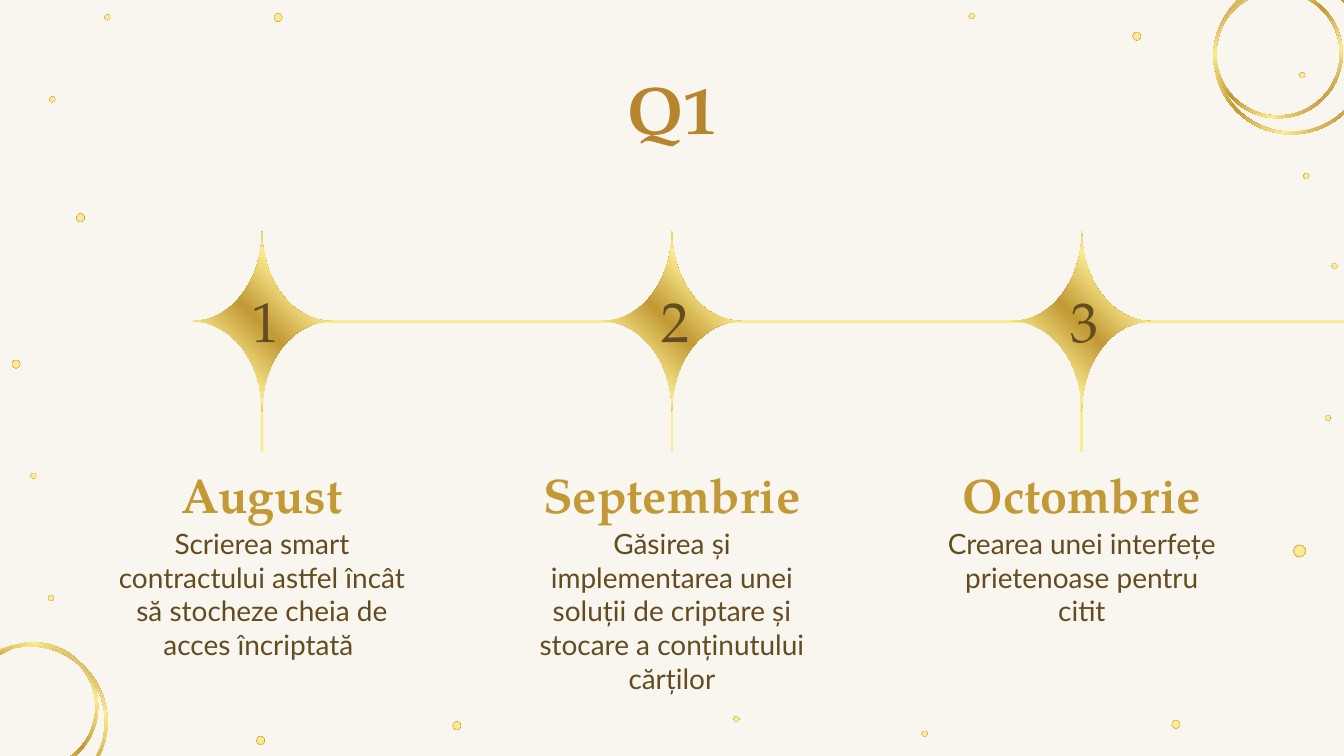
from lxml import etree
from pptx import Presentation
from pptx.dml.color import RGBColor
from pptx.enum.shapes import MSO_CONNECTOR, MSO_SHAPE
from pptx.enum.text import MSO_ANCHOR, PP_ALIGN
from pptx.oxml import parse_xml
from pptx.oxml.ns import nsdecls, qn
from pptx.util import Inches, Pt

STRAIGHT = MSO_CONNECTOR.STRAIGHT
OVAL, DONUT = MSO_SHAPE.OVAL, MSO_SHAPE.DONUT
TOP, MIDDLE = MSO_ANCHOR.TOP, MSO_ANCHOR.MIDDLE
CENTER = PP_ALIGN.CENTER

COLORS = {
    "cream": "F9F5EF",
    "title": "B6852D",
    "gold": "C29934",
    "brown": "644C21",
    "light": "FCEB8F",
    "tan": "C99F4A",
    "dark": "B88532",
}
SERIF, SANS = "TeX Gyre Pagella", "Lato"

TITLE = "Q1"
MILESTONES = [
    ("August", "Scrierea smart contractului astfel încât să stocheze cheia de acces încriptată "),
    ("Septembrie", "Găsirea și implementarea unei soluții de criptare și stocare a conținutului cărților"),
    ("Octombrie", "Crearea unei interfețe prietenoase pentru citit"),
]

STYLES = {
    "title": {"size": Pt(36), "name": SERIF, "bold": True, "color": "title"},
    "month": {"size": Pt(26), "name": SERIF, "bold": True, "color": "gold"},
    "task": {"size": Pt(15), "name": SANS, "bold": False, "color": "brown"},
    "number": {"size": Pt(30), "name": SERIF, "bold": False, "color": "brown"},
}

DOT_STOPS = [(0, "light"), (21, "light"), (52, "light"), (79, "tan"), (100, "gold")]
RING_STOPS = [(0, "dark"), (9, "tan"), (25, "light"), (49, "gold"),
              (72, "light"), (86, "tan"), (100, "dark")]
STAR_STOPS = [(0, "dark"), (9, "gold")] + RING_STOPS[2:]
RADIAL = ('<a:path path="circle"><a:fillToRect l="50000" t="50000" '
          'r="50000" b="50000"/></a:path>')

DOTS = {
    0.09: [(9.67, 4.1)],
    0.06: [(0.12, 2.71), (2.07, 0.13), (0.6, 1.62), (1.94, 5.51), (3.4, 5.4),
           (8.75, 5.39), (8.46, 0.27)],
    0.04: [(0.39, 0.74), (9.72, 1.31), (0.25, 3.54), (0.38, 4.45), (0.8, 0.13),
           (5.48, 5.35), (7.23, 0.12), (9.69, 0.56), (9.93, 1.98), (9.88, 3.11),
           (6.88, 5.46)],
}
RINGS = [
    (9.61, 0.42, 0.58, 0),
    (9.51, 0.4, 0.48, 0),
    (0.22, 5.37, 0.58, 87.3),
    (0.25, 5.26, 0.48, 87.3),
]
RING_WIDTH = 0.02

SLIDE_WIDTH = Inches(10)
SLIDE_HEIGHT = SLIDE_WIDTH * 9 // 16
FIRST_X, STEP_X = 1.95, 3.05
LINE_Y, MONTH_Y, TASK_Y = 2.39, 3.36, 3.82
COLUMN_WIDTH = 2.33
STAR_HALF_WIDTH, STAR_HALF_HEIGHT = 0.52, 0.67
CURVE_STEPS = 16


def paint_gradient(shape, stops, direction):
    shape.fill.background()
    marks = "".join(
        f'<a:gs pos="{place * 1000}"><a:srgbClr val="{COLORS[color]}"/></a:gs>'
        for place, color in stops)
    gradient = parse_xml(f'<a:gradFill {nsdecls("a")}><a:gsLst>{marks}</a:gsLst>'
                         f'{direction}</a:gradFill>')
    properties = shape._element.spPr
    properties.replace(properties.find(qn("a:noFill")), gradient)
    shape.line.fill.background()
    shape.shadow.inherit = False


def linear(degrees):
    return f'<a:lin ang="{degrees * 60000}" scaled="0"/>'


def add_round(slide, kind, x, y, radius):
    return slide.shapes.add_shape(kind, Inches(x - radius), Inches(y - radius),
                                  Inches(2 * radius), Inches(2 * radius))


def add_line(slide, x1, y1, x2, y2):
    line = slide.shapes.add_connector(STRAIGHT, Inches(x1), Inches(y1), Inches(x2), Inches(y2))
    line.line.color.rgb = RGBColor.from_string(COLORS["light"])
    line.line.width = Pt(1.5)
    etree.SubElement(line._element.spPr, qn("a:effectLst"))
    return line


def add_star(slide, x, y):
    quarter = []
    for step in range(CURVE_STEPS):
        t = step / CURVE_STEPS
        s = 1 - t
        across = 3 * s * t * t * 0.44 + t ** 3
        up = s ** 3 + 3 * s * s * t * 0.45
        quarter.append((across, up))
    back = [(1, 0)] + quarter[:0:-1]
    outline = (quarter + [(a, -u) for a, u in back]
               + [(-a, -u) for a, u in quarter] + [(-a, u) for a, u in back])
    points = [(Inches(x + a * STAR_HALF_WIDTH), Inches(y - u * STAR_HALF_HEIGHT))
              for a, u in outline]
    builder = slide.shapes.build_freeform(*points[0], scale=1.0)
    builder.add_line_segments(points[1:], close=True)
    paint_gradient(builder.convert_to_shape(), STAR_STOPS, linear(315))


def write(box, text, style, anchor=TOP):
    frame = box.text_frame
    margins = dict.fromkeys(
        ("margin_left", "margin_right", "margin_top", "margin_bottom"), Inches(0.1))
    for name, value in {**margins, "word_wrap": True, "vertical_anchor": anchor}.items():
        setattr(frame, name, value)
    para = frame.paragraphs[0]
    para.alignment = CENTER
    span = para.add_run()
    span.text = text
    for name, value in STYLES[style].items():
        if name == "color":
            span.font.color.rgb = RGBColor.from_string(COLORS[value])
        else:
            setattr(span.font, name, value)


def add_text(slide, x, y, width, height, text, style, anchor=TOP):
    box = slide.shapes.add_textbox(Inches(x - width / 2), Inches(y), Inches(width), Inches(height))
    write(box, text, style, anchor)
    return box


def main():
    deck = Presentation()
    deck.slide_width, deck.slide_height = SLIDE_WIDTH, SLIDE_HEIGHT
    slide = deck.slides.add_slide(deck.slide_layouts[5])
    background = slide.background.fill
    background.solid()
    background.fore_color.rgb = RGBColor.from_string(COLORS["cream"])

    for size, centers in DOTS.items():
        for x, y in centers:
            paint_gradient(add_round(slide, OVAL, x, y, size / 2), DOT_STOPS, RADIAL)
    for x, y, radius, angle in RINGS:
        ring = add_round(slide, DONUT, x, y, radius)
        ring.adjustments[0] = RING_WIDTH / (2 * radius)
        ring.rotation = angle
        paint_gradient(ring, RING_STOPS, linear(45))

    title = slide.shapes.title
    title.left, title.top, title.width, title.height = map(Inches, (0.78, 0.4, 8.44, 0.63))
    write(title, TITLE, "title")

    add_line(slide, FIRST_X + 0.2, LINE_Y, 10.05, LINE_Y)
    for index, (month, task) in enumerate(MILESTONES):
        x = FIRST_X + index * STEP_X
        heading = add_text(slide, x, MONTH_Y, COLUMN_WIDTH, 0.54, month, "month")
        add_text(slide, x, TASK_Y, COLUMN_WIDTH, 0.97, task, "task")
        stem = add_line(slide, x, LINE_Y + 0.18, x, MONTH_Y)
        stem.end_connect(heading, 0)
        add_star(slide, x, LINE_Y)
        add_text(slide, x + 0.01, LINE_Y - 0.19, 0.38, 0.37, str(index + 1), "number", MIDDLE)

    deck.save("out.pptx")


if __name__ == "__main__":
    main()
